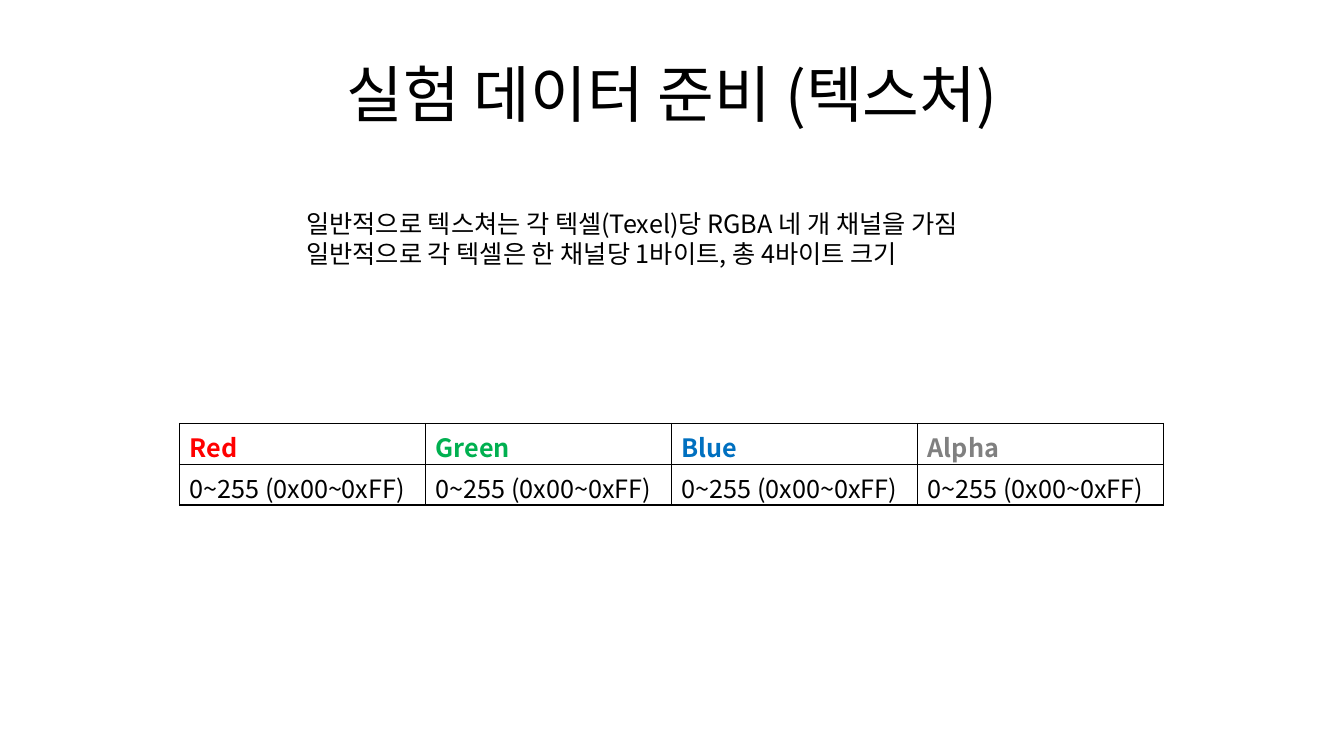
from lxml import etree
from pptx import Presentation
from pptx.dml.color import RGBColor
from pptx.enum.text import MSO_ANCHOR, PP_ALIGN
from pptx.oxml.ns import qn
from pptx.util import Inches, Pt

LEFT, CENTER = PP_ALIGN.LEFT, PP_ALIGN.CENTER
TOP, MIDDLE = MSO_ANCHOR.TOP, MSO_ANCHOR.MIDDLE
FONT = "Noto Sans CJK KR"
COLORS = {
    "black": "000000",
    "red": "FF0000",
    "green": "00B050",
    "blue": "0070C0",
    "gray": "808080",
}
CHANNELS = [("Red", "red"), ("Green", "green"), ("Blue", "blue"), ("Alpha", "gray")]
VALUE_RANGE = "0~255 (0x00~0xFF)"


def write(p, text, size=18, color="black", bold=False, align=LEFT):
    p.alignment = align
    r = p.add_run()
    r.text = text
    r.font.size = Pt(size)
    r.font.bold = bold
    r.font.name = FONT
    r.font.color.rgb = RGBColor.from_string(COLORS[color])
    etree.SubElement(r.font._element, qn("a:ea")).set("typeface", FONT)


class Deck:
    def __init__(self, width, height):
        self.prs = Presentation()
        self.prs.slide_width = Inches(width)
        self.prs.slide_height = Inches(height)
        self.s = self.prs.slides.add_slide(self.prs.slide_layouts[6])

    def box(self, left, top, width, height):
        w, h = self.prs.slide_width, self.prs.slide_height
        return [int(share * full / 100) for share, full in
                zip((left, top, width, height), (w, h, w, h))]

    def text(self, place, lines, anchor=TOP, **fmt):
        tf = self.s.shapes.add_textbox(*self.box(*place)).text_frame
        tf.word_wrap = True
        tf.vertical_anchor = anchor
        for i, line in enumerate(lines):
            p = tf.add_paragraph() if i else tf.paragraphs[0]
            write(p, line, **fmt)

    def border(self, cell, width=1):
        tcPr = cell._tc.get_or_add_tcPr()
        for side in ("lnL", "lnR", "lnT", "lnB"):
            ln = etree.SubElement(tcPr, qn(f"a:{side}"), w=str(Pt(width)))
            fill = etree.SubElement(ln, qn("a:solidFill"))
            etree.SubElement(fill, qn("a:srgbClr"), val=COLORS["black"])

    def table(self, place, rows):
        table = self.s.shapes.add_table(len(rows), len(rows[0]), *self.box(*place)).table
        table.first_row = table.horz_banding = False
        for i, row in enumerate(rows):
            for j, (text, fmt) in enumerate(row):
                cell = table.cell(i, j)
                self.border(cell)
                cell.fill.background()
                write(cell.text_frame.paragraphs[0], text, **fmt)


def main():
    deck = Deck(13.33, 7.5)
    deck.text((5, 4, 90, 16.67), ["실험 데이터 준비 (텍스처)"],
              anchor=MIDDLE, size=44, align=CENTER)
    deck.text((22.05, 26.93, 55.5, 9.47), [
        "일반적으로 텍스쳐는 각 텍셀(Texel)당 RGBA 네 개 채널을 가짐",
        "일반적으로 각 텍셀은 한 채널당 1바이트, 총 4바이트 크기",
    ])
    header = [(name, {"color": color, "bold": True}) for name, color in CHANNELS]
    values = [(VALUE_RANGE, {})] * len(CHANNELS)
    deck.table((13.35, 56, 73.25, 10.8), [header, values])
    deck.prs.save("out.pptx")


if __name__ == "__main__":
    main()
